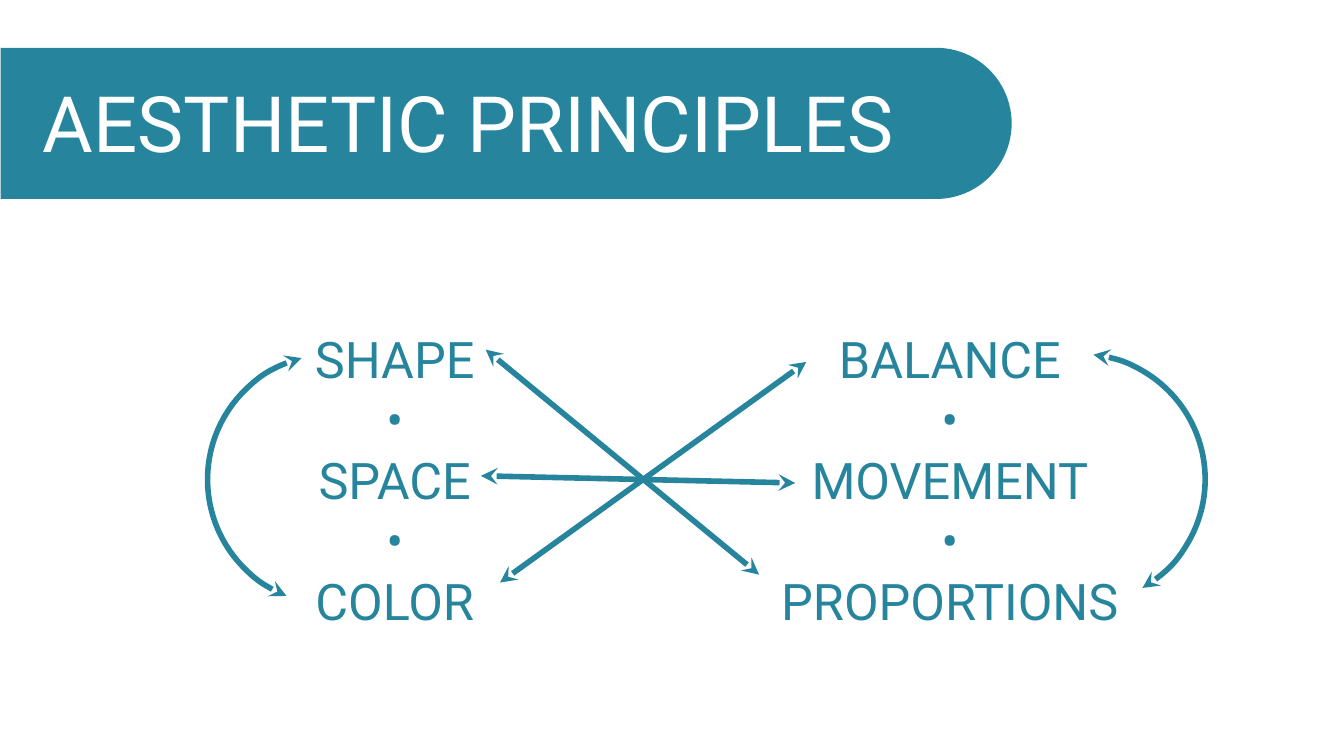
import pptx
import pptx.dml.color
import pptx.enum.shapes
import pptx.enum.text
import pptx.oxml.ns
import pptx.util
from lxml import etree
from pptx.util import Cm

TEAL = pptx.dml.color.RGBColor(0x26, 0x85, 0x9D)
WHITE = pptx.dml.color.RGBColor(0xFF, 0xFF, 0xFF)
FONT = "Roboto"
SHAPES = pptx.enum.shapes.MSO_SHAPE
ARC_START = 129.754
ARC_SIZE = 6.32


def add_text(slide, lines, left, top, width, height, *, size, color, inset=(0, 0)):
    """Add centred lines; inset is the (horizontal, vertical) margin in cm."""
    frame = slide.shapes.add_textbox(Cm(left), Cm(top), Cm(width), Cm(height)).text_frame
    frame.word_wrap = True
    frame.margin_left = frame.margin_right = Cm(inset[0])
    frame.margin_top = frame.margin_bottom = Cm(inset[1])
    frame.text = "\n".join(lines)
    for paragraph in frame.paragraphs:
        paragraph.alignment = pptx.enum.text.PP_ALIGN.CENTER
        for run in paragraph.runs:
            run.font.name = FONT
            run.font.size = pptx.util.Pt(size)
            run.font.color.rgb = color


def add_banner(slide):
    banner = slide.shapes.add_shape(
        SHAPES.ROUND_2_SAME_RECTANGLE, Cm(10.85), Cm(-9.63), Cm(3.81), Cm(25.48))
    banner.rotation = 90
    banner.adjustments[0] = 0.5
    banner.adjustments[1] = 0
    banner.shadow.inherit = False
    banner.fill.solid()
    banner.fill.fore_color.rgb = TEAL
    banner.line.fill.background()


def style_double_arrow(arrow):
    """Give a connector or arc a teal line with a stealth arrowhead at both ends."""
    arrow.line.color.rgb = TEAL
    arrow.line.width = pptx.util.Pt(4)
    line = arrow.line._get_or_add_ln()
    for end in ("a:headEnd", "a:tailEnd"):
        etree.SubElement(line, pptx.oxml.ns.qn(end), type="stealth")


def add_arc_arrow(slide, left, top, rotation):
    arc = slide.shapes.add_shape(SHAPES.ARC, Cm(left), Cm(top), Cm(ARC_SIZE), Cm(ARC_SIZE))
    arc.rotation = rotation
    arc.adjustments[0] = ARC_START
    arc.adjustments[1] = 0
    arc.fill.background()
    style_double_arrow(arc)
    arc.shadow.inherit = False


def add_straight_arrow(slide, start, end):
    arrow = slide.shapes.add_connector(
        pptx.enum.shapes.MSO_CONNECTOR.STRAIGHT, *map(Cm, start + end))
    style_double_arrow(arrow)
    etree.SubElement(arrow._element.spPr, pptx.oxml.ns.qn("a:effectLst"))


def main():
    deck = pptx.Presentation()
    deck.slide_width, deck.slide_height = Cm(33.87), Cm(19.05)
    slide = deck.slides.add_slide(deck.slide_layouts[6])

    add_banner(slide)
    add_text(slide, ["AESTHETIC PRINCIPLES "], 0.3, 1.88, 23.52, 3.43, size=55.5, color=WHITE)

    columns = [
        (2.95, 10.92, ["SHAPE", "•", "SPACE", "•", "COLOR"]),
        (16.94, 9.7, ["BALANCE", "•", "MOVEMENT", "•", "PROPORTIONS"]),
    ]
    for left, height, principles in columns:
        add_text(slide, principles, left, 8.13, 14, height,
                 size=36, color=TEAL, inset=(0.25, 0.13))

    for left, rotation in [(5.23, 255.5), (24.05, 60)]:
        add_arc_arrow(slide, left, 8.92, rotation)

    color_to_balance = (12.6, 14.68), (20.32, 9.12)
    shape_to_proportions = (12.24, 8.81), (19.13, 14.48)
    space_to_movement = (12.12, 11.99), (20.04, 12.17)
    for start, end in (color_to_balance, shape_to_proportions, space_to_movement):
        add_straight_arrow(slide, start, end)

    deck.save("out.pptx")


if __name__ == "__main__":
    main()
